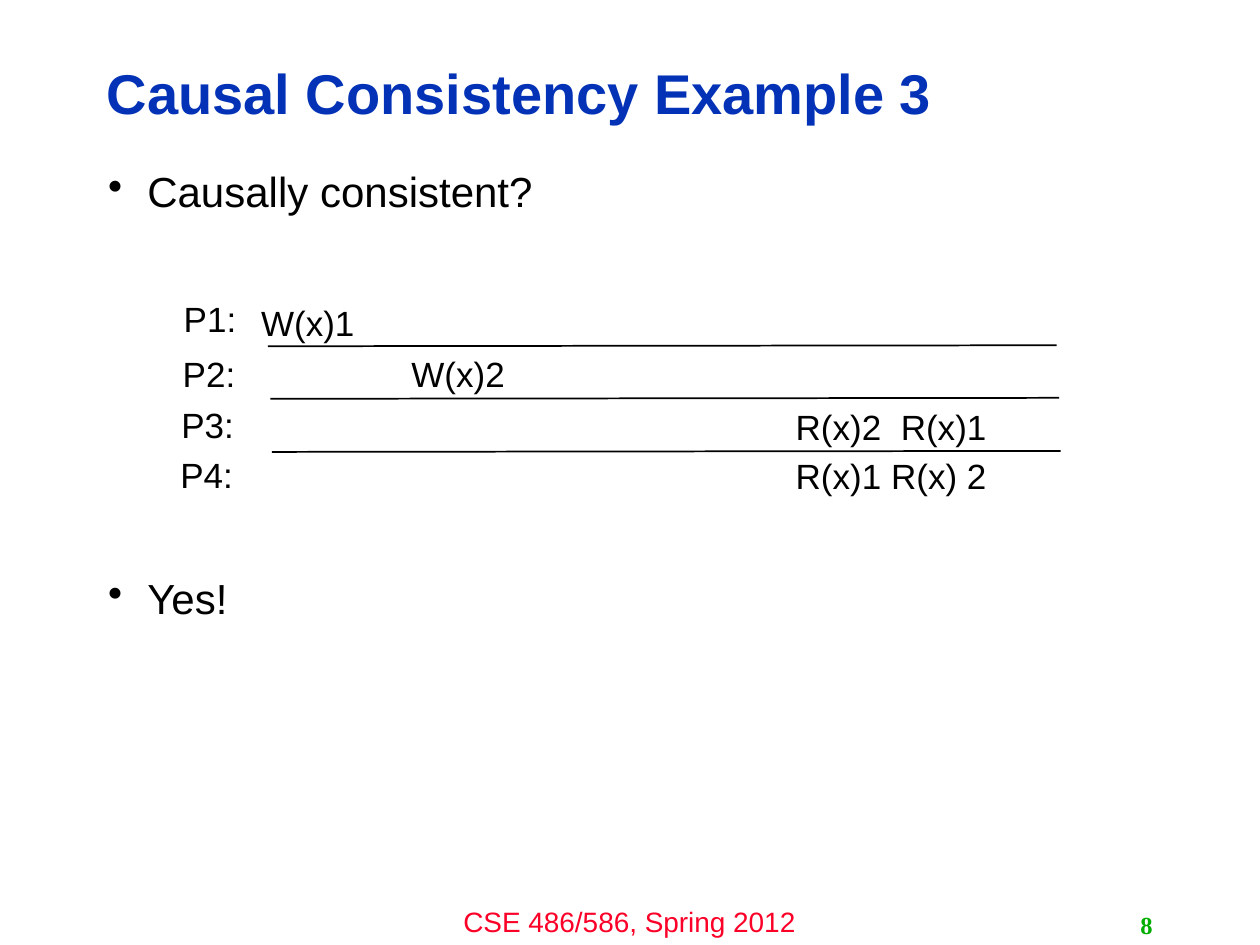
from pptx import Presentation
from pptx.dml.color import RGBColor as RGB
from pptx.enum.shapes import MSO_CONNECTOR as CONN
from pptx.enum.text import MSO_ANCHOR as ANCHOR, MSO_AUTO_SIZE as AUTO, PP_ALIGN as ALIGN
from pptx.oxml.ns import qn
from pptx.util import Cm, Pt
from lxml import etree

COLORS = {"title": "0332B7", "text": "000000", "footer": "FC0128", "number": "00AE00"}


class Deck:
    """Holds the style and the current slide."""

    def __init__(self, width, height):
        self.prs = Presentation()
        self.prs.slide_width, self.prs.slide_height = Cm(width), Cm(height)
        self.slide = self.prs.slides.add_slide(self.prs.slide_layouts[5])

    def fill_text(self, sp, lines, size, color="text", font="Arial", bold=False,
                  align=ALIGN.LEFT, anchor=ANCHOR.TOP, wrap=True, spacing=1.0):
        tf = sp.text_frame
        frame = {"word_wrap": wrap, "vertical_anchor": anchor, "auto_size": AUTO.NONE,
                 "margin_left": Cm(0.25), "margin_right": Cm(0.25),
                 "margin_top": Cm(0.13), "margin_bottom": Cm(0.13)}
        for name, value in frame.items():
            setattr(tf, name, value)
        for i, line in enumerate(lines):
            p = tf.add_paragraph() if i else tf.paragraphs[0]
            p.alignment, p.line_spacing = align, spacing
            r = p.add_run()
            r.text = line
            for name, value in {"name": font, "size": Pt(size), "bold": bold}.items():
                setattr(r.font, name, value)
            r.font.color.rgb = RGB.from_string(COLORS[color])
        return tf

    def title(self, text, box, **style):
        sp = self.slide.shapes.title
        sp.left, sp.top, sp.width, sp.height = map(Cm, box)
        self.fill_text(sp, [text], **style)

    def text(self, text, box, **style):
        sp = self.slide.shapes.add_textbox(*map(Cm, box))
        self.fill_text(sp, [text], **style)

    def bullets(self, lines, box, gap, **style):
        sp = self.slide.shapes.add_textbox(*map(Cm, box))
        tf = self.fill_text(sp, lines, **style)
        for i, p in enumerate(tf.paragraphs):
            p.space_before = Pt(gap if i else 0)
            pPr = p._p.get_or_add_pPr()
            pPr.set("marL", str(Cm(0.79)))
            pPr.set("indent", str(-Cm(0.79)))
            etree.SubElement(pPr, qn("a:buChar")).set("char", "•")

    def line(self, x1, y1, x2, y2):
        c = self.slide.shapes.add_connector(CONN.STRAIGHT, *map(Cm, (x1, y1, x2, y2)))
        c.line.color.rgb = RGB.from_string(COLORS["text"])
        c.line.width = Pt(1)
        etree.SubElement(c._element.spPr, qn("a:effectLst"))


deck = Deck(25.4, 19.05)

# Title and bullets
deck.title("Causal Consistency Example 3", (1.9, 0.91, 20.27, 2.06), size=32,
           color="title", bold=True, anchor=ANCHOR.MIDDLE, spacing=0.9)
deck.bullets(["Causally consistent?", "Yes!"], (1.93, 3.33, 21.34, 13.69),
             gap=206.5, size=24, spacing=0.9)

# Lines between the processes
for x, y in ((5.4, 6.98), (5.45, 8.04), (5.48, 9.11)):
    deck.line(x, y, x + 15.9, y - 0.02)

# Processes: label left and top, then operations with left, top and width
processes = [
    (3.45, 5.87, "W(x)1", 5.0, 5.94, 2.41),
    (3.43, 6.98, "W(x)2", 8.03, 6.98, 2.41),
    (3.4, 8.0, "R(x)2  R(x)1", 15.77, 8.05, 4.39),
    (3.38, 9.02, "R(x)1 R(x) 2", 15.77, 9.04, 4.39),
]
label = {"size": 20, "align": ALIGN.CENTER, "wrap": False}
for n, (left, top, ops, ops_left, ops_top, width) in enumerate(processes, 1):
    deck.text(f"P{n}:", (left, top, 1.57, 1.12), **label)
    deck.text(ops, (ops_left, ops_top, width, 1.12), **label)

# Footer and slide number
deck.text("CSE 486/586, Spring 2012", (8.46, 18.11, 8.46, 0.94), size=16,
          color="footer", align=ALIGN.CENTER)
deck.text("8", (18.21, 18.24, 5.28, 0.81), size=14, color="number",
          font="Times New Roman", bold=True, align=ALIGN.RIGHT, anchor=ANCHOR.MIDDLE)

deck.prs.save("out.pptx")
